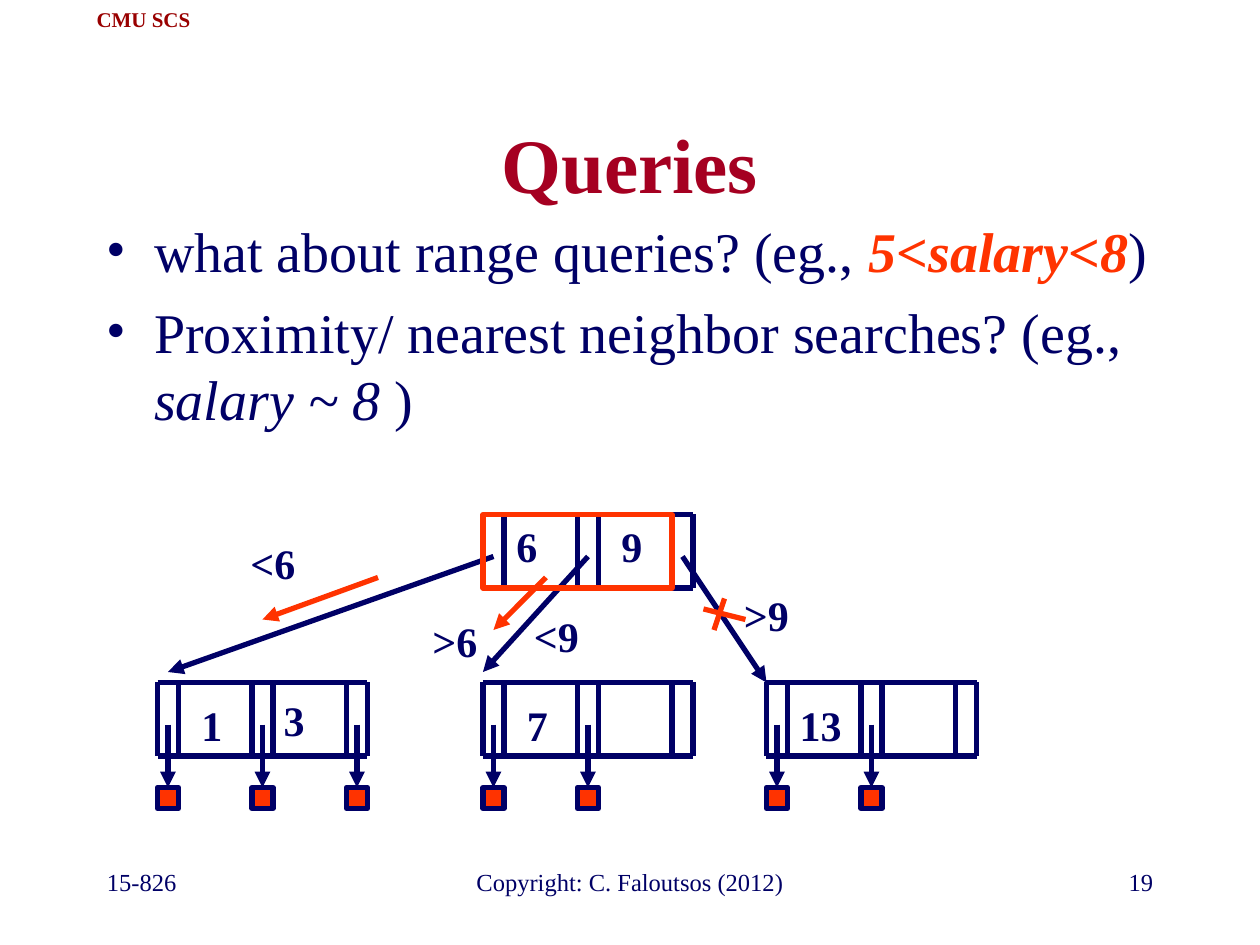
"""Build the Queries slide: range and proximity searches on a B-tree."""
from pptx import Presentation
from pptx.dml.color import RGBColor
from pptx.enum.shapes import MSO_CONNECTOR, MSO_SHAPE
from pptx.enum.text import MSO_ANCHOR, PP_ALIGN
from pptx.oxml.ns import qn
from pptx.util import Pt

STRAIGHT = MSO_CONNECTOR.STRAIGHT
RECT = MSO_SHAPE.RECTANGLE
TOP, MIDDLE = MSO_ANCHOR.TOP, MSO_ANCHOR.MIDDLE
LEFT, CENTER, RIGHT = PP_ALIGN.LEFT, PP_ALIGN.CENTER, PP_ALIGN.RIGHT
FONT = "Times New Roman"
NAVY, RED, ORANGE = "000066", "990000", "FF3300"
rgb = RGBColor.from_string


def add_line(x1, y1, x2, y2, color=NAVY, arrow=False):
    line = s.shapes.add_connector(STRAIGHT, Pt(x1), Pt(y1), Pt(x2), Pt(y2))
    line.line.color.rgb = rgb(color)
    line.line.width = Pt(3)
    if arrow:
        ln = line.line._get_or_add_ln()
        ln.append(ln.makeelement(qn("a:tailEnd"), {"type": "triangle"}))
    props = line._element.spPr
    props.append(props.makeelement(qn("a:effectLst"), {}))
    return line


def add_text(text, x, y, w, h, size, align=CENTER, color=NAVY, bold=False, wrap=False, anchor=TOP):
    tf = s.shapes.add_textbox(Pt(x), Pt(y), Pt(w), Pt(h)).text_frame
    tf.word_wrap = wrap
    tf.vertical_anchor = anchor
    tf.text = text
    p = tf.paragraphs[0]
    p.alignment = align
    font = p.runs[0].font
    font.name, font.size, font.bold = FONT, Pt(size), bold
    font.color.rgb = rgb(color)


prs = Presentation()
prs.slide_width, prs.slide_height = Pt(720), Pt(540)
s = prs.slides.add_slide(prs.slide_layouts[5])

add_text("CMU SCS", 48, 0, 68, 22, 12, color=RED, bold=True, anchor=MIDDLE)
for text, x, w, align in [
    ("15-826", 54, 150, LEFT),
    ("Copyright: C. Faloutsos (2012)", 246, 228, CENTER),
    ("19", 516, 150, RIGHT),
]:
    add_text(text, x, 492, w, 36, 14, align, wrap=True)

title = s.shapes.title
title.left, title.top, title.width, title.height = Pt(54), Pt(48), Pt(612), Pt(90)
tf = title.text_frame
tf.text = "Queries"
tf.vertical_anchor = MIDDLE
p = tf.paragraphs[0]
p.alignment = CENTER
font = p.runs[0].font
font.name, font.size, font.bold = FONT, Pt(44), True
font.color.rgb = rgb("A50021")

bullets = [
    [("what about range queries? (eg., ", NAVY, False, False),
     ("5<salary<8", ORANGE, True, True),
     (")", NAVY, False, False)],
    [("Proximity/ nearest neighbor searches? (eg., ", NAVY, False, False),
     ("salary ~ 8", NAVY, False, True),
     (" )", NAVY, False, False)],
]
tf = s.shapes.add_textbox(Pt(54), Pt(120), Pt(642), Pt(324)).text_frame
tf.word_wrap = True
for i, runs in enumerate(bullets):
    p = tf.add_paragraph() if i else tf.paragraphs[0]
    pPr = p._p.get_or_add_pPr()
    pPr.set("marL", str(Pt(27)))
    pPr.set("indent", str(-Pt(27)))
    pPr.append(pPr.makeelement(qn("a:buFont"), {"typeface": FONT}))
    pPr.append(pPr.makeelement(qn("a:buChar"), {"char": "•"}))
    if i:
        p.space_before = Pt(8)
    for text, color, bold, italic in runs:
        r = p.add_run()
        r.text = text
        r.font.name, r.font.size = FONT, Pt(32)
        r.font.bold, r.font.italic = bold, italic
        r.font.color.rgb = rgb(color)

for x, y, pointers in [(276, 294, 0), (438, 390, 2), (276, 390, 2), (90, 390, 3)]:
    for dx in (0, 12, 54, 66, 108, 120):
        add_line(x + dx, y, x + dx, y + 42)
    for dy in (0, 42):
        add_line(x, y + dy, x + 120, y + dy)
    for i in range(pointers):
        px = x + 54 * i
        record = s.shapes.add_shape(RECT, Pt(px), Pt(y + 60), Pt(12), Pt(12))
        record.shadow.inherit = False
        record.fill.solid()
        record.fill.fore_color.rgb = rgb(ORANGE)
        record.line.color.rgb = rgb(NAVY)
        record.line.width = Pt(3)
        add_line(px + 6, y + 24, px + 6, y + 60, arrow=True).end_connect(record, 0)

for x1, x2, y2 in [(282, 96, 384), (336, 276, 384), (390, 438, 390)]:
    add_line(x1, 318, x2, y2, arrow=True)

for text, x, y, w in [
    ("1", 108, 396, 26), ("3", 155, 393.5, 26), ("6", 288, 294, 26),
    ("7", 294, 396, 26), ("9", 348, 294, 26), ("13", 447, 396, 44),
    ("<6", 134, 303.5, 44), (">6", 238, 348, 44),
    ("<9", 296, 345.5, 44), (">9", 416, 333.5, 44),
]:
    add_text(text, x, y, w, 36, 24, bold=True)

visited = s.shapes.add_shape(RECT, Pt(276), Pt(294), Pt(108), Pt(42))
visited.shadow.inherit = False
visited.fill.background()
visited.line.color.rgb = rgb(ORANGE)
visited.line.width = Pt(3)

for x1, y1, x2, y2, arrow in [
    (216, 330, 150, 354, True),
    (312, 330, 282, 360, True),
    (408, 360, 414, 342, False),
    (402, 348, 426, 354, False),
]:
    add_line(x1, y1, x2, y2, ORANGE, arrow)

prs.save("out.pptx")
